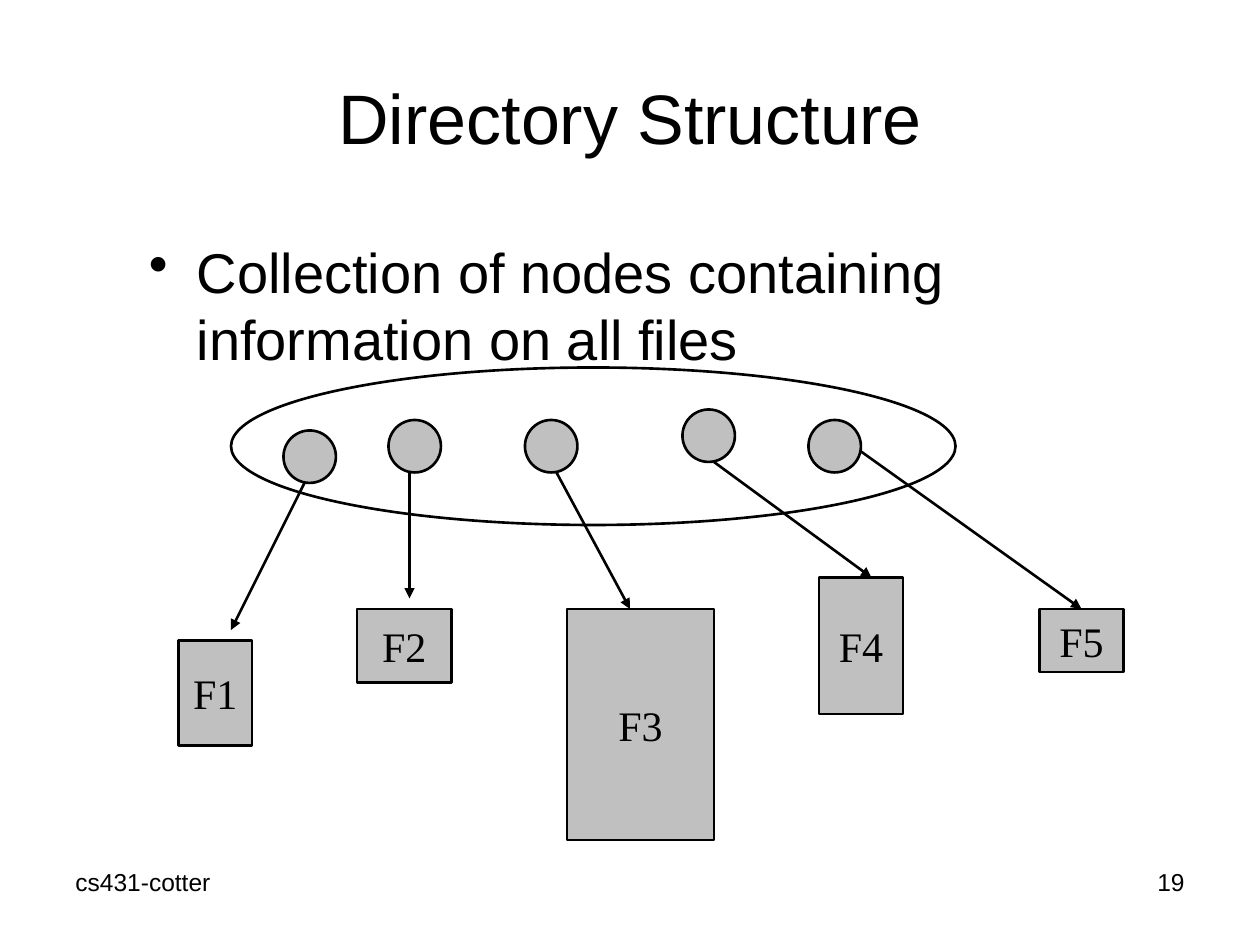
from pptx import Presentation
from pptx.dml.color import RGBColor
from pptx.enum.shapes import MSO_CONNECTOR, MSO_SHAPE
from pptx.enum.text import MSO_ANCHOR, PP_ALIGN
from pptx.oxml.ns import qn
from pptx.util import Inches, Pt
from lxml import etree

OVAL, RECT = MSO_SHAPE.OVAL, MSO_SHAPE.RECTANGLE
STRAIGHT = MSO_CONNECTOR.STRAIGHT
LEFT, CENTER, RIGHT = PP_ALIGN.LEFT, PP_ALIGN.CENTER, PP_ALIGN.RIGHT
TOP, MIDDLE = MSO_ANCHOR.TOP, MSO_ANCHOR.MIDDLE

COLORS = {"ink": "000000", "gray": "C0C0C0", "paper": "FFFFFF"}
CELL = Inches(1) // 12  # the grid has 120 columns and 90 rows
NODE_SIZE = 5

# label, node (column, row), file block (column, row, columns, rows),
# arrow start, arrow end
FILES = [
    ("F1", (27, 41), (17, 61, 7, 10), (29, 46), (22, 60)),
    ("F2", (37, 40), (34, 58, 9, 7), (39, 45), (39, 57)),
    ("F3", (50, 40), (54, 58, 14, 22), (53, 45), (60, 58)),
    ("F4", (65, 39), (78, 55, 8, 13), (68, 44), (83, 55)),
    ("F5", (77, 40), (99, 58, 8, 6), (82, 43), (103, 58)),
]


def color(key):
    return RGBColor.from_string(COLORS[key])


def grid(*cells):
    return [round(cell * CELL) for cell in cells]


def write(frame, text, size, font="Arial", align=LEFT, anchor=TOP, wrap=True):
    frame.word_wrap = wrap
    frame.vertical_anchor = anchor
    paragraph = frame.paragraphs[0]
    paragraph.text = text
    paragraph.alignment = align
    paragraph.font.size = Pt(size)
    paragraph.font.name = font
    paragraph.font.color.rgb = color("ink")
    return paragraph


def add_text(slide, box, text, size, **style):
    frame = slide.shapes.add_textbox(*grid(*box)).text_frame
    return write(frame, text, size, **style)


def add_bullet(paragraph, indent):
    properties = paragraph._p.get_or_add_pPr()
    properties.set("marL", str(indent))
    properties.set("indent", str(-indent))
    etree.SubElement(properties, qn("a:buChar")).set("char", "•")


def set_line(line):
    line.color.rgb = color("ink")
    line.width = Pt(1.5)


def add_outlined(slide, kind, box, fill=None):
    shape = slide.shapes.add_shape(kind, *grid(*box))
    shape.shadow.inherit = False
    if fill:
        shape.fill.solid()
        shape.fill.fore_color.rgb = color(fill)
    else:
        shape.fill.background()
    set_line(shape.line)
    return shape


def add_arrow(slide, start, end):
    arrow = slide.shapes.add_connector(STRAIGHT, *grid(*start, *end))
    set_line(arrow.line)
    etree.SubElement(arrow.line._get_or_add_ln(), qn("a:tailEnd")).set("type", "triangle")
    etree.SubElement(arrow._element.spPr, qn("a:effectLst"))


def main():
    deck = Presentation()
    deck.slide_width, deck.slide_height = grid(120, 90)
    slide = deck.slides.add_slide(deck.slide_layouts[6])
    slide.background.fill.solid()
    slide.background.fill.fore_color.rgb = color("paper")

    # Footer, title and statement
    add_text(slide, (6, 82, 28, 6.25), "cs431-cotter", 14)
    add_text(slide, (86, 82, 28, 6.25), "19", 14, align=RIGHT)
    add_text(slide, (6, 3.6, 108, 15), "Directory Structure", 40,
             align=CENTER, anchor=MIDDLE)
    statement = add_text(slide, (13, 22, 102, 54),
                         "Collection of nodes containing information on all files", 32)
    statement.space_before = Pt(8)
    add_bullet(statement, Inches(0.38))

    # Directory with its nodes
    add_outlined(slide, OVAL, (22, 35, 69, 15))
    for _, node, _, _, _ in FILES:
        add_outlined(slide, OVAL, (*node, NODE_SIZE, NODE_SIZE), "gray")

    # Files
    for label, _, block, _, _ in FILES:
        file_block = add_outlined(slide, RECT, block, "gray")
        write(file_block.text_frame, label, 24, font="Times New Roman",
              align=CENTER, anchor=MIDDLE, wrap=False)

    # Arrows from nodes to files
    for _, _, _, start, end in FILES:
        add_arrow(slide, start, end)

    deck.save("out.pptx")


if __name__ == "__main__":
    main()
